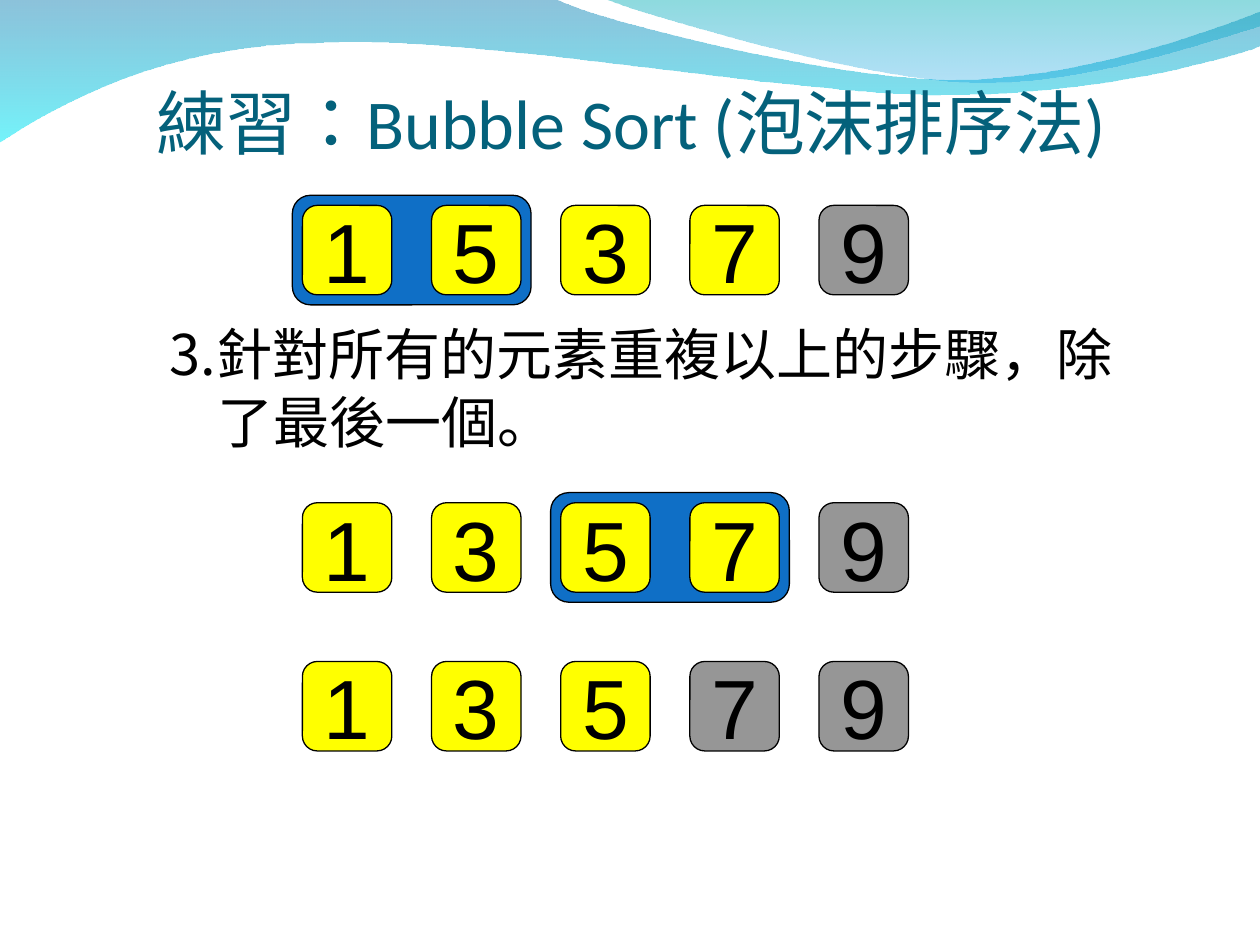
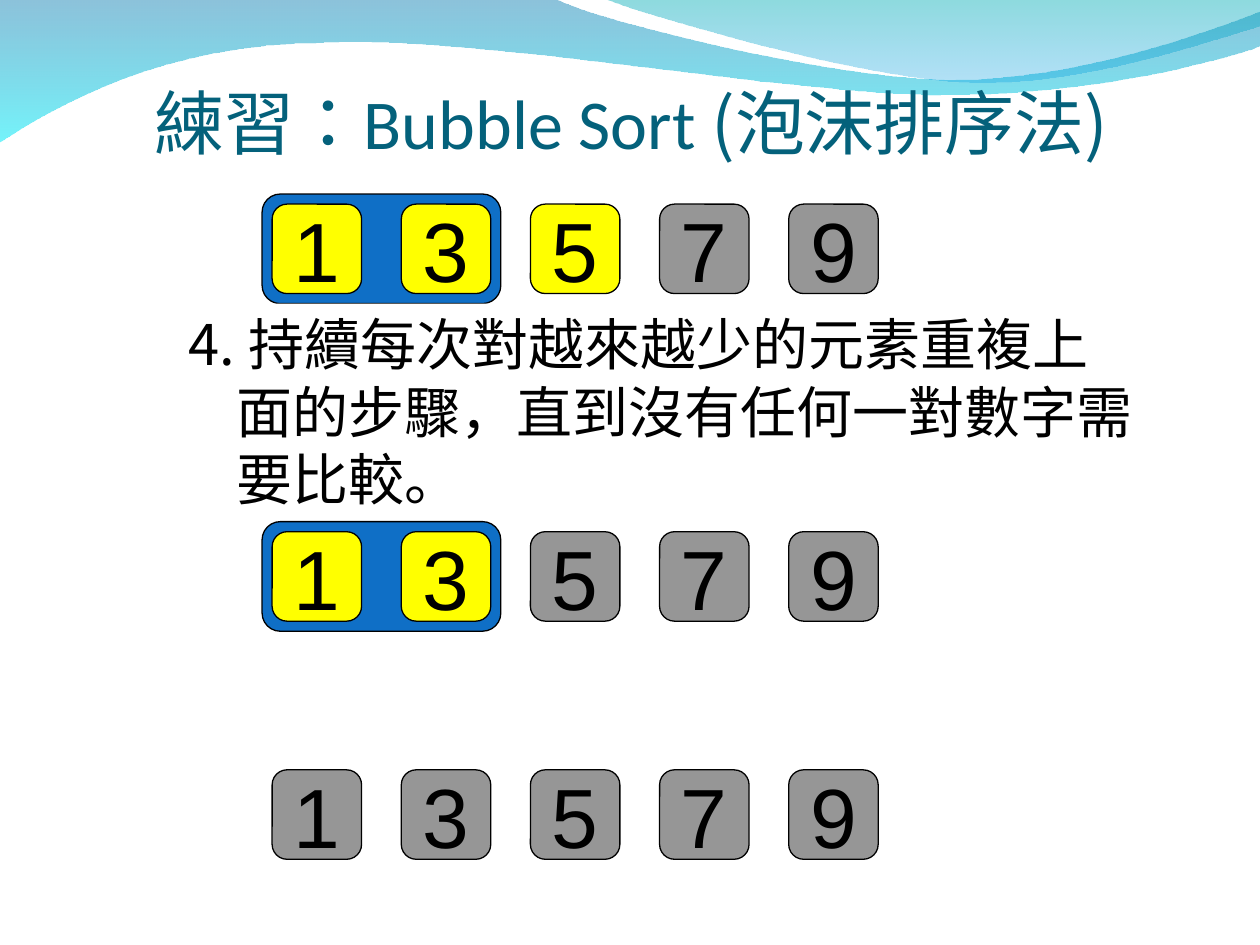
from dataclasses import dataclass

from lxml.etree import SubElement
from pptx import Presentation
from pptx.dml.color import RGBColor as Rgb
from pptx.enum.shapes import MSO_SHAPE as Shape
from pptx.enum.text import MSO_ANCHOR as Anchor, MSO_AUTO_SIZE as AutoSize, PP_ALIGN as Align
from pptx.oxml.ns import qn
from pptx.util import Inches, Pt


@dataclass(frozen=True)
class Theme:
    title_color: str = "04617B"
    ink: str = "000000"
    paper: str = "FFFFFF"
    pair: str = "0F6FC6"
    unsorted: str = "FFFF00"
    sorted: str = "969696"
    cjk: str = "Noto Sans CJK SC"
    latin: str = "Calibri"
    digit: str = "Arial"
    title_size: int = 40
    step_size: int = 32
    digit_size: int = 48
    outline: float = 0.75


THEME = Theme()
CELL = 0.71
PITCH = 4.1 / 4
PAIR_MARGIN = 0.08

LOWER_WAVE = [
    [(0, -0.01)],
    [(4.4, -0.01)],
    [(4.76, 0.17), (6.64, 0.63), (7.58, 0.63)],
    [(8.53, 0.63), (9.58, 0.26), (10, 0.09)],
    [(10.01, 0.36)],
    [(9.83, 0.44), (8.7, 0.76), (7.46, 0.75)],
    [(6.22, 0.75), (3.82, 0.28), (2.57, 0.34)],
    [(1.29, 0.35), (0.46, 0.83), (-0.01, 1.13)],
]
UPPER_WAVE = [
    [(4.79, -0.01)],
    [(5.09, 0.11), (6.82, 0.62), (7.69, 0.65)],
    [(8.56, 0.69), (9.61, 0.32), (10, 0.21)],
    [(10, 0)],
]
WAVES = [
    (LOWER_WAVE, [("0079AF", 45), ("00EBF8", 55)]),
    (UPPER_WAVE, [("00ADB6", 45), ("009BE5", 30)]),
]


class Deck:
    def __init__(self, theme):
        self.theme = theme
        self.deck = Presentation()
        self.deck.slide_width = Inches(10)
        self.deck.slide_height = Inches(7.5)
        self.layout = self.deck.slide_layouts[5]
        self.slide = None

    def new_slide(self, title_runs):
        first = self.slide is None
        self.slide = self.deck.slides.add_slide(self.layout)
        if first:
            self.decorate_layout()
        self.title(title_runs)

    def decorate_layout(self):
        heading, *footers = self.layout.placeholders
        for footer in footers:
            footer.element.getparent().remove(footer.element)
        for wave in [self.wave(segments, stops) for segments, stops in WAVES]:
            heading.element.addprevious(wave.element)

    def wave(self, segments, stops):
        start, *rest = [
            (Inches(x), Inches(y)) for segment in segments for x, y in segment
        ]
        builder = self.slide.shapes.build_freeform(*start)
        builder.add_line_segments(rest, close=True)
        wave = builder.convert_to_shape()
        self.curve(wave, segments)
        wave.shadow.inherit = False
        wave.line.fill.background()
        wave.fill.gradient()
        wave.fill.gradient_angle = 270
        for stop, (color, opacity) in zip(wave.fill.gradient_stops, stops):
            stop.color.rgb = Rgb.from_string(color)
            tint = stop._gs.find(qn("a:srgbClr"))
            SubElement(tint, qn("a:alpha")).set("val", str(opacity * 1000))
        return wave

    def curve(self, wave, segments):
        lines = iter(list(wave.element.iter(qn("a:lnTo"))))
        for segment in segments[1:]:
            command = next(lines)
            if len(segment) == 3:
                command.tag = qn("a:cubicBezTo")
                for line in (next(lines), next(lines)):
                    command.append(line[0])
                    line.getparent().remove(line)

    def style(self, run, font, size, color):
        run.font.name = font
        run.font.size = Pt(size)
        run.font.color.rgb = Rgb.from_string(color)
        if font != self.theme.digit:
            east_asian = SubElement(run.font._element, qn("a:ea"))
            east_asian.set("typeface", self.theme.cjk)

    def title(self, title_runs):
        title = self.slide.shapes.title
        title.left, title.top = Inches(0.51), Inches(0.36)
        title.width, title.height = Inches(9), Inches(0.94)
        frame = title.text_frame
        frame.margin_left = frame.margin_right = frame.margin_bottom = 0
        frame.margin_top = Inches(0.05)
        frame.vertical_anchor = Anchor.BOTTOM
        frame.auto_size = AutoSize.NONE
        paragraph = frame.paragraphs[0]
        paragraph.alignment = Align.CENTER
        for words, font in title_runs:
            run = paragraph.add_run()
            run.text = words
            self.style(run, font, self.theme.title_size, self.theme.title_color)
            run.font._element.set("lang", "zh-TW")

    def rounded(self, left, top, width, height, color):
        box = self.slide.shapes.add_shape(
            Shape.ROUNDED_RECTANGLE, Inches(left), Inches(top), Inches(width), Inches(height)
        )
        box.shadow.inherit = False
        box.fill.solid()
        box.fill.fore_color.rgb = Rgb.from_string(color)
        box.line.color.rgb = Rgb.from_string(self.theme.ink)
        box.line.width = Pt(self.theme.outline)
        return box

    def array(self, left, top, digits, sorted_from, compared=None):
        if compared is not None:
            self.rounded(
                left + compared * PITCH - PAIR_MARGIN,
                top - PAIR_MARGIN,
                PITCH + CELL + 2 * PAIR_MARGIN,
                CELL + 2 * PAIR_MARGIN,
                self.theme.pair,
            )
        for index, digit in enumerate(digits):
            color = self.theme.unsorted if index < sorted_from else self.theme.sorted
            self.cell(left + index * PITCH, top, digit, color)

    def cell(self, left, top, digit, color):
        frame = self.rounded(left, top, CELL, CELL, color).text_frame
        frame.word_wrap = False
        frame.vertical_anchor = Anchor.MIDDLE
        frame.text = digit
        paragraph = frame.paragraphs[0]
        paragraph.alignment = Align.CENTER
        self.style(paragraph.runs[0], self.theme.digit, self.theme.digit_size, self.theme.ink)

    def step(self, left, top, height, words):
        box = self.slide.shapes.add_textbox(
            Inches(left), Inches(top), Inches(8.27), Inches(height)
        )
        box.fill.solid()
        box.fill.fore_color.rgb = Rgb.from_string(self.theme.paper)
        frame = box.text_frame
        frame.word_wrap = True
        frame.text = words
        paragraph = frame.paragraphs[0]
        paragraph.level = 1
        paragraph.space_before = Pt(8)
        properties = paragraph._p.get_or_add_pPr()
        properties.set("marL", str(Inches(0.88)))
        properties.set("indent", str(Inches(-0.38)))
        self.style(paragraph.runs[0], self.theme.cjk, self.theme.step_size, self.theme.ink)

    def save(self):
        self.deck.save("out.pptx")


def main():
    deck = Deck(THEME)

    deck.new_slide([("練習：", THEME.cjk), ("Bubble Sort (泡沫排序法)", THEME.latin)])
    deck.array(2.4, 1.63, "15379", sorted_from=4, compared=0)
    deck.array(2.4, 3.99, "13579", sorted_from=4, compared=2)
    deck.array(2.4, 5.25, "13579", sorted_from=3)
    deck.step(0.75, 2.49, 1.17, "3.針對所有的元素重複以上的步驟，除了最後一個。")

    deck.new_slide(
        [("練習：", THEME.cjk), ("Bubble Sort ", THEME.latin), ("(泡沫排序法)", THEME.cjk)]
    )
    deck.array(2.16, 1.62, "13579", sorted_from=3, compared=0)
    deck.array(2.16, 4.22, "13579", sorted_from=2, compared=0)
    deck.array(2.16, 6.11, "13579", sorted_from=0)
    deck.step(0.9, 2.41, 1.7, "4. 持續每次對越來越少的元素重複上面的步驟，直到沒有任何一對數字需要比較。")

    deck.save()


if __name__ == "__main__":
    main()
